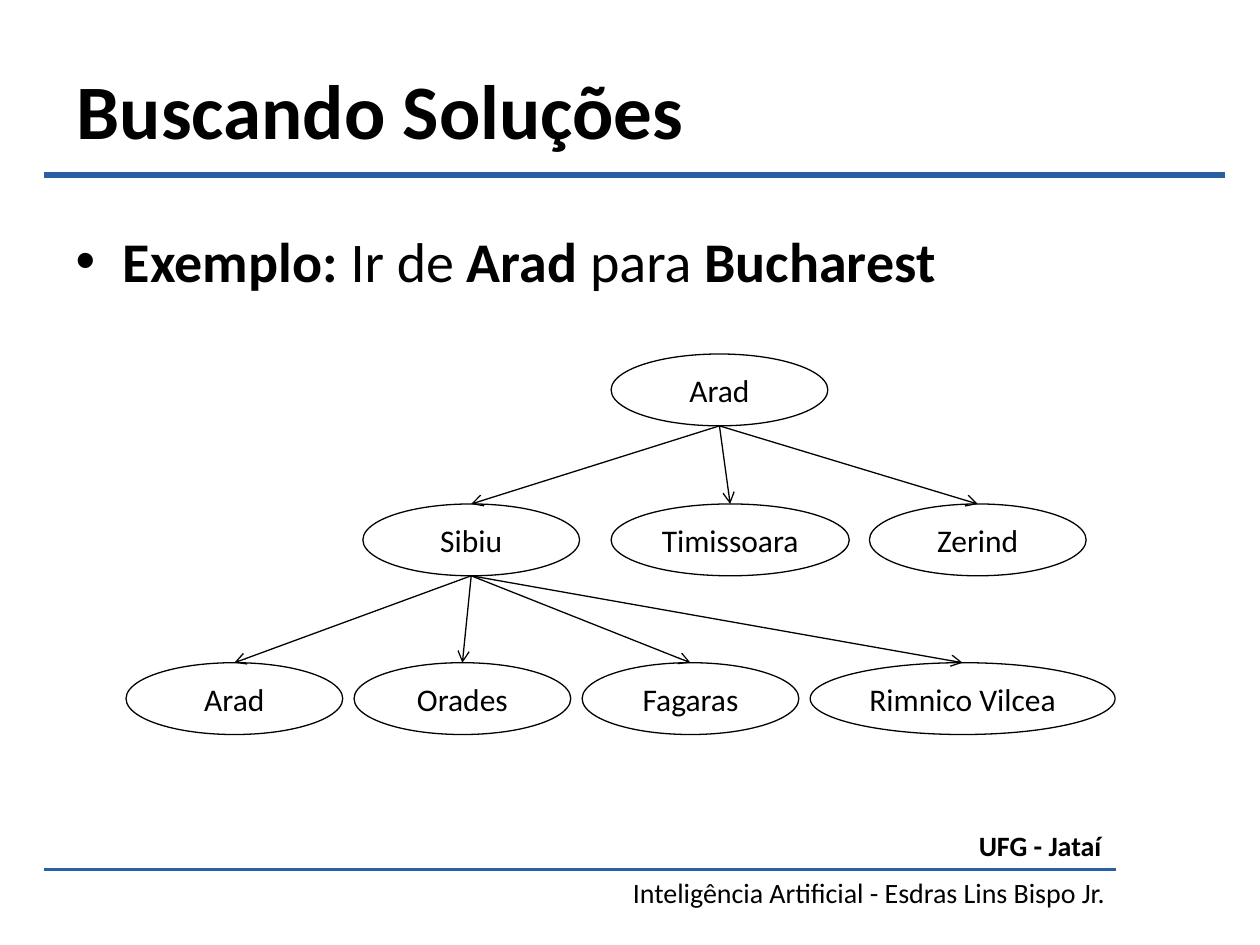
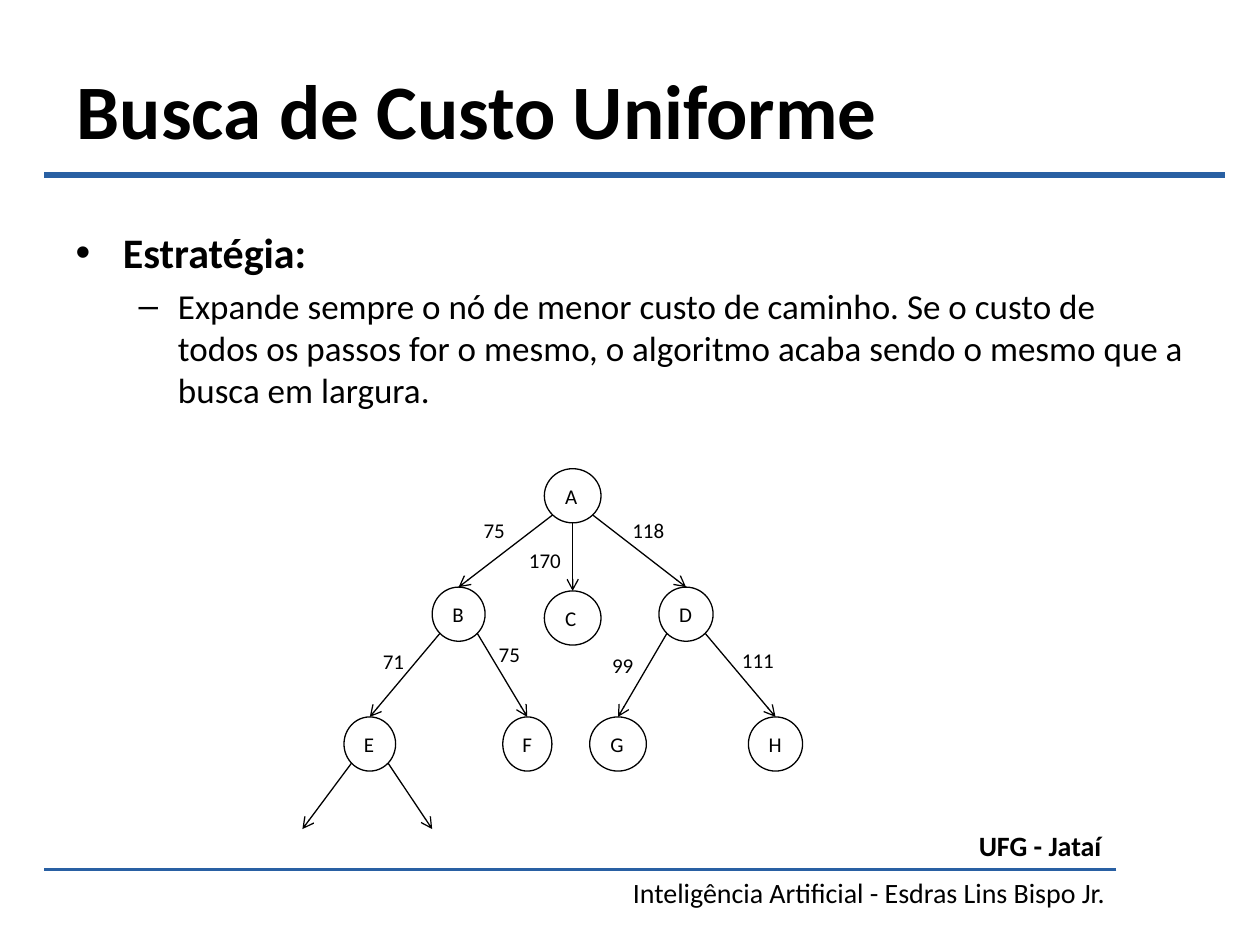
from lxml import etree
from math import sqrt
from pptx import Presentation
from pptx.dml.color import RGBColor
from pptx.enum.shapes import MSO_CONNECTOR, MSO_SHAPE
from pptx.enum.text import MSO_ANCHOR, MSO_AUTO_SIZE, PP_ALIGN
from pptx.oxml.ns import qn
from pptx.util import Emu, Pt

PX = 9144  # 100 px to the inch
BLACK = RGBColor(0x00, 0x00, 0x00)
BLUE = RGBColor(0x29, 0x60, 0xA3)
FONT = "Calibri"
LEFT, CENTER, RIGHT = PP_ALIGN.LEFT, PP_ALIGN.CENTER, PP_ALIGN.RIGHT
STRAIGHT = MSO_CONNECTOR.STRAIGHT
ELLIPSE = MSO_SHAPE.OVAL
MIDDLE = MSO_ANCHOR.MIDDLE
NO_AUTOFIT = MSO_AUTO_SIZE.NONE
TITLE_AND_CONTENT = 1
DIAGONAL = sqrt(0.5)


def px(*lengths):
    return [Emu(round(length * PX)) for length in lengths]


def bottom(box, side=0):
    """Point on the lower edge of an ellipse: -1 left, 0 middle, 1 right."""
    left, top, width, height = box
    drop = DIAGONAL if side else 1
    return (left + width / 2 * (1 + side * DIAGONAL),
            top + height / 2 * (1 + drop))


def top_center(box):
    left, top, width, _ = box
    return left + width / 2, top


class Deck:
    """Holds the shared style and the current slide."""

    def __init__(self):
        self.presentation = Presentation()
        (self.presentation.slide_width,
         self.presentation.slide_height) = px(1000, 750)
        self.slide = None

    def add_slide(self, title, title_width):
        layout = self.presentation.slide_layouts[TITLE_AND_CONTENT]
        self.slide = self.presentation.slides.add_slide(layout)
        # Title and rule below it
        shape = self.slide.shapes.title
        self.place(shape, (51, 44, title_width, 84))
        self.set_text(shape, title, 44, bold=True)
        self.line((972, 139), (35, 139), BLUE, 3)
        # Footer
        self.line((886, 690), (35, 690), BLUE, 1.5)
        self.label("UFG - Jataí", (765, 653, 119, 37), 16, RIGHT, True)
        self.label("Inteligência Artificial - Esdras Lins Bispo Jr.",
                   (488, 690, 399, 37), 16, RIGHT)

    def place(self, shape, box):
        shape.left, shape.top, shape.width, shape.height = px(*box)

    def style(self, font, size, bold=None):
        font.name, font.size, font.bold = FONT, Pt(size), bold
        font.color.rgb = BLACK

    def set_text(self, shape, text, size, align=LEFT, bold=False):
        frame = shape.text_frame
        frame.word_wrap = False
        frame.auto_size = NO_AUTOFIT
        paragraph = frame.paragraphs[0]
        paragraph.text = text
        paragraph.alignment = align
        self.style(paragraph.font, size, bold)

    def bullets(self, items):
        """Each item is (level, size, runs); each run is (text, bold)."""
        body = self.slide.placeholders[1]
        self.place(body, (50, 175, 900, 495))
        frame = body.text_frame
        frame.auto_size = NO_AUTOFIT
        for index, (level, size, runs) in enumerate(items):
            paragraph = frame.add_paragraph() if index else frame.paragraphs[0]
            paragraph.level = level
            self.style(paragraph.font, size)
            for text, bold in runs:
                run = paragraph.add_run()
                run.text, run.font.bold = text, bold

    def label(self, text, box, size, align=LEFT, bold=False):
        shape = self.slide.shapes.add_textbox(*px(*box))
        self.set_text(shape, text, size, align, bold)

    def node(self, text, box, size, align):
        shape = self.slide.shapes.add_shape(ELLIPSE, *px(*box))
        shape.shadow.inherit = False
        shape.fill.background()
        shape.line.color.rgb, shape.line.width = BLACK, Pt(0.75)
        self.set_text(shape, text, size, align)
        shape.text_frame.vertical_anchor = MIDDLE

    def line(self, start, end, color=BLACK, width=0.75):
        connector = self.slide.shapes.add_connector(
            STRAIGHT, *px(*start, *end))
        connector.line.color.rgb, connector.line.width = color, Pt(width)
        properties = connector._element.spPr
        etree.SubElement(properties, qn("a:effectLst"))
        return properties.find(qn("a:ln"))

    def arrow(self, start, end):
        outline = self.line(start, end)
        etree.SubElement(outline, qn("a:tailEnd"), type="arrow")


def route_slide(deck):
    deck.add_slide("Buscando Soluções", 506)
    deck.bullets([(0, 32, [("Exemplo: ", True), ("Ir de ", False),
                           ("Arad", True), (" para ", False),
                           ("Bucharest", True)])])
    # Cities, one level of the tree at a time
    width, height, gap = 172, 57, 9
    root = (485, 281, width, height)
    neighbours = {"Sibiu": (288, 400, width, height),
                  "Timissoara": (485, 400, 189, height),
                  "Zerind": (690, 400, width, height)}
    leaves = {}
    left = 100
    for city, leaf_width in (("Arad", width), ("Orades", width),
                             ("Fagaras", width), ("Rimnico Vilcea", 242)):
        leaves[city] = (left, 526, leaf_width, height)
        left += leaf_width + gap
    deck.node("Arad", root, 18, CENTER)
    for parent, children in ((root, neighbours),
                             (neighbours["Sibiu"], leaves)):
        for city, box in children.items():
            deck.node(city, box, 18, CENTER)
            deck.arrow(bottom(parent), top_center(box))


def cost_slide(deck):
    deck.add_slide("Busca de Custo Uniforme", 661)
    deck.bullets([
        (0, 24, [("Estratégia:", True)]),
        (1, 20, [("Expande sempre o nó de menor custo de caminho. Se o custo "
                  "de todos os passos for o mesmo, o algoritmo acaba sendo o "
                  "mesmo que a busca em largura.", False)])])
    # Nodes: left, top, width
    height = 43
    nodes = {name: (left, top, width, height) for name, left, top, width in (
        ("A", 432, 372, 45), ("B", 343, 466, 42), ("C", 432, 469, 45),
        ("D", 523, 466, 43), ("E", 273, 569, 41), ("F", 399, 569, 39),
        ("G", 468, 569, 45), ("H", 594, 569, 43))}
    for name, box in nodes.items():
        deck.node(name, box, 12, LEFT)
    # Edges: parent, side, child, cost, cost position
    for parent, side, child, cost, left, top in (
            ("A", -1, "B", "75", 374, 406), ("A", 0, "C", "170", 410, 430),
            ("A", 1, "D", "118", 492, 406), ("B", -1, "E", "71", 294, 510),
            ("B", 1, "F", "75", 386, 504), ("D", -1, "G", "99", 476, 513),
            ("D", 1, "H", "111", 579, 509)):
        deck.arrow(bottom(nodes[parent], side), top_center(nodes[child]))
        deck.label(cost, (left, top, 37 if len(cost) == 2 else 46, 30), 12)
    # Open branches below E
    for side, end in ((-1, (240, 658)), (1, (343, 658))):
        deck.arrow(bottom(nodes["E"], side), end)


def main():
    deck = Deck()
    route_slide(deck)
    cost_slide(deck)
    deck.presentation.save("out.pptx")


if __name__ == "__main__":
    main()
